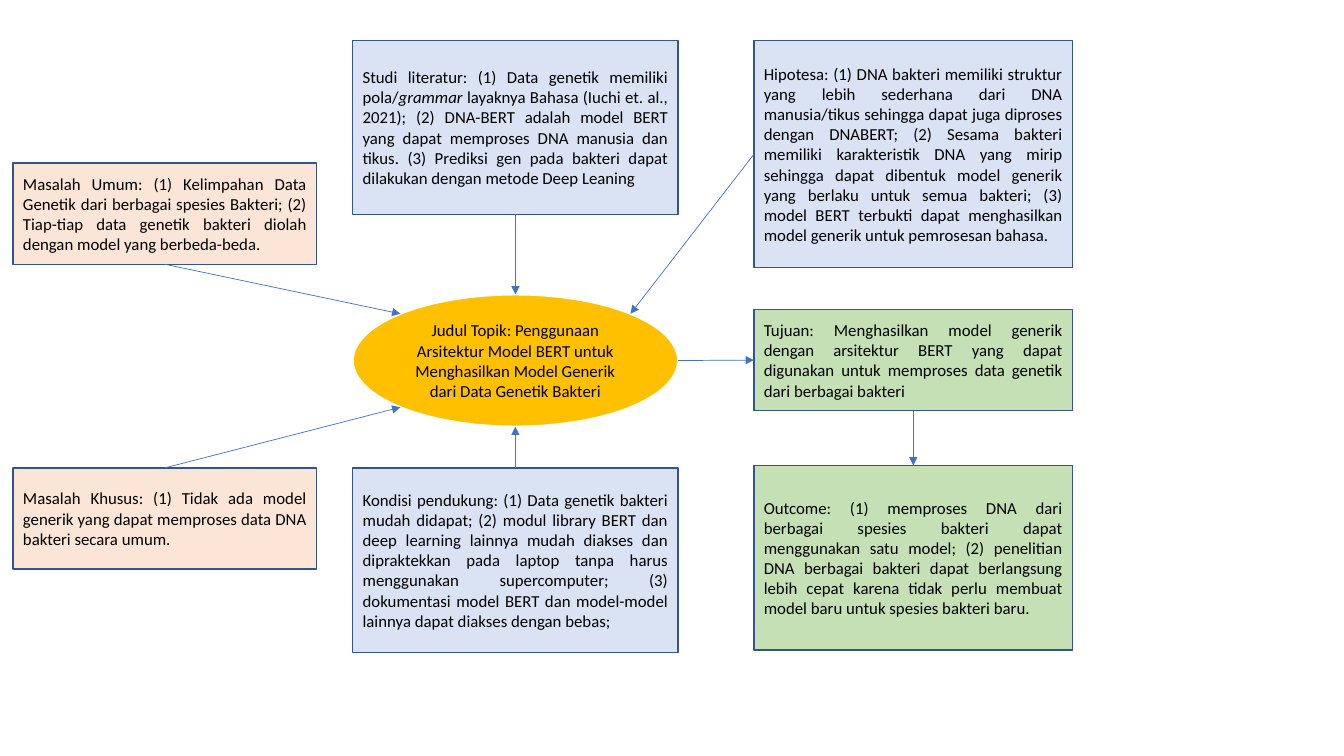
from math import sqrt
from lxml.etree import SubElement
from pptx import Presentation
from pptx.dml.color import RGBColor
from pptx.enum.shapes import MSO_CONNECTOR, MSO_SHAPE
from pptx.enum.text import MSO_ANCHOR, PP_ALIGN
from pptx.oxml.ns import qn
from pptx.util import Cm, Pt

BLACK = RGBColor(0x00, 0x00, 0x00)
WHITE = RGBColor(0xFF, 0xFF, 0xFF)
GOLD = RGBColor(0xFF, 0xC0, 0x00)
GREEN = RGBColor(0xC5, 0xE0, 0xB4)
BLUE = RGBColor(0xDA, 0xE3, 0xF3)
PEACH = RGBColor(0xFB, 0xE5, 0xD6)
BORDER = RGBColor(0x32, 0x54, 0x91)
ARROW = RGBColor(0x44, 0x72, 0xC4)

TOP, BOTTOM, RIGHT, LEFT = 0, 2, 3, 1
COLUMNS = {"problem": (0.33, 7.65), "topic": (8.89, 8.2), "result": (19.0, 8.03)}

TOPIC = ("Judul Topik: Penggunaan Arsitektur Model BERT untuk Menghasilkan "
         "Model Generik dari Data Genetik Bakteri")
TOPIC_TOP, TOPIC_HEIGHT = 7.42, 3.33

BOXES = {
    "goal": ("result", 7.8, 2.55, GREEN, [
        "Tujuan: Menghasilkan model generik dengan arsitektur BERT yang dapat "
        "digunakan untuk memproses data genetik dari berbagai bakteri"]),
    "literature": ("topic", 1.02, 4.38, BLUE, [
        "Studi literatur: (1) Data genetik memiliki pola/",
        "grammar ",
        "layaknya Bahasa (Iuchi et. al., 2021); (2) DNA-BERT adalah model BERT "
        "yang dapat memproses DNA manusia dan tikus. (3) Prediksi gen pada "
        "bakteri dapat dilakukan dengan metode Deep Leaning"]),
    "support": ("topic", 11.79, 4.65, BLUE, [
        "Kondisi pendukung: (1) Data genetik bakteri mudah didapat; (2) modul "
        "library BERT dan deep learning lainnya mudah diakses dan dipraktekkan "
        "pada laptop tanpa harus menggunakan supercomputer; (3) dokumentasi "
        "model BERT dan model-model lainnya dapat diakses dengan bebas;"]),
    "general": ("problem", 4.11, 2.55, PEACH, [
        "Masalah Umum: (1) Kelimpahan Data Genetik dari berbagai spesies "
        "Bakteri; (2) Tiap-tiap data genetik bakteri diolah dengan model yang "
        "berbeda-beda."]),
    "specific": ("problem", 11.79, 2.55, PEACH, [
        "Masalah Khusus: (1) Tidak ada model generik yang dapat memproses data "
        "DNA bakteri secara umum."]),
    "hypothesis": ("result", 1.02, 5.73, BLUE, [
        "Hipotesa: (1) DNA bakteri memiliki struktur yang lebih sederhana dari "
        "DNA manusia/tikus sehingga dapat juga diproses dengan DNABERT; (2) "
        "Sesama bakteri memiliki karakteristik DNA yang mirip sehingga dapat "
        "dibentuk model generik yang berlaku untuk semua bakteri; (3) model "
        "BERT terbukti dapat menghasilkan model generik untuk pemrosesan "
        "bahasa."]),
    "outcome": ("result", 11.73, 4.65, GREEN, [
        "Outcome: (1) memproses DNA dari berbagai spesies bakteri dapat "
        "menggunakan satu model; (2) penelitian DNA berbagai bakteri dapat "
        "berlangsung lebih cepat karena tidak perlu membuat model baru untuk "
        "spesies bakteri baru."]),
}
ITALIC_SPANS = {"grammar "}

DIAGONAL = 1 / sqrt(2)
INWARD_ARROWS = [
    ("general", BOTTOM, -DIAGONAL, -DIAGONAL),
    ("specific", TOP, -DIAGONAL, DIAGONAL),
    ("literature", BOTTOM, 0, -1),
    ("support", TOP, 0, 1),
    ("hypothesis", LEFT, DIAGONAL, -DIAGONAL),
]


def add_block(page, kind, column, top, height, fill, border, width, align, texts):
    left, breadth = COLUMNS[column]
    box = page.shapes.add_shape(kind, Cm(left), Cm(top), Cm(breadth), Cm(height))
    box.shadow.inherit = False
    box.fill.solid()
    box.fill.fore_color.rgb = fill
    box.line.color.rgb = border
    box.line.width = Pt(width)
    frame = box.text_frame
    frame.word_wrap = True
    frame.vertical_anchor = MSO_ANCHOR.MIDDLE
    para = frame.paragraphs[0]
    para.alignment = align
    for text in texts:
        span = para.add_run()
        span.text = text
        span.font.name = "Calibri"
        span.font.size = Pt(12)
        span.font.color.rgb = BLACK
        if text in ITALIC_SPANS:
            span.font.italic = True
    return box


def add_arrow(page, end_x=0, end_y=0):
    arrow = page.shapes.add_connector(MSO_CONNECTOR.STRAIGHT, 0, 0, end_x, end_y)
    arrow.line.color.rgb = ARROW
    arrow.line.width = Pt(0.5)
    SubElement(arrow.line._get_or_add_ln(), qn("a:tailEnd"), type="triangle")
    SubElement(arrow._element.spPr, qn("a:effectLst"))
    return arrow


def main():
    deck = Presentation()
    deck.slide_width, deck.slide_height = Cm(33.87), Cm(19.05)
    page = deck.slides.add_slide(deck.slide_layouts[6])

    topic = add_block(page, MSO_SHAPE.OVAL, "topic", TOPIC_TOP, TOPIC_HEIGHT,
                      GOLD, WHITE, 1.5, PP_ALIGN.CENTER, [TOPIC])
    boxes = {
        name: add_block(page, MSO_SHAPE.RECTANGLE, column, top, height, fill,
                        BORDER, 1, PP_ALIGN.JUSTIFY, texts)
        for name, (column, top, height, fill, texts) in BOXES.items()
    }

    radius_x, radius_y = topic.width / 2, topic.height / 2
    center_x, center_y = topic.left + radius_x, topic.top + radius_y
    for name, side, across, down in INWARD_ARROWS:
        arrow = add_arrow(page, int(center_x + across * radius_x),
                          int(center_y + down * radius_y))
        arrow.begin_connect(boxes[name], side)

    to_goal = add_arrow(page)
    to_goal.begin_x, to_goal.begin_y = topic.left + topic.width, int(center_y)
    to_goal.end_connect(boxes["goal"], LEFT)

    to_outcome = add_arrow(page)
    to_outcome.begin_connect(boxes["goal"], BOTTOM)
    to_outcome.end_connect(boxes["outcome"], TOP)

    deck.save("out.pptx")


if __name__ == "__main__":
    main()
